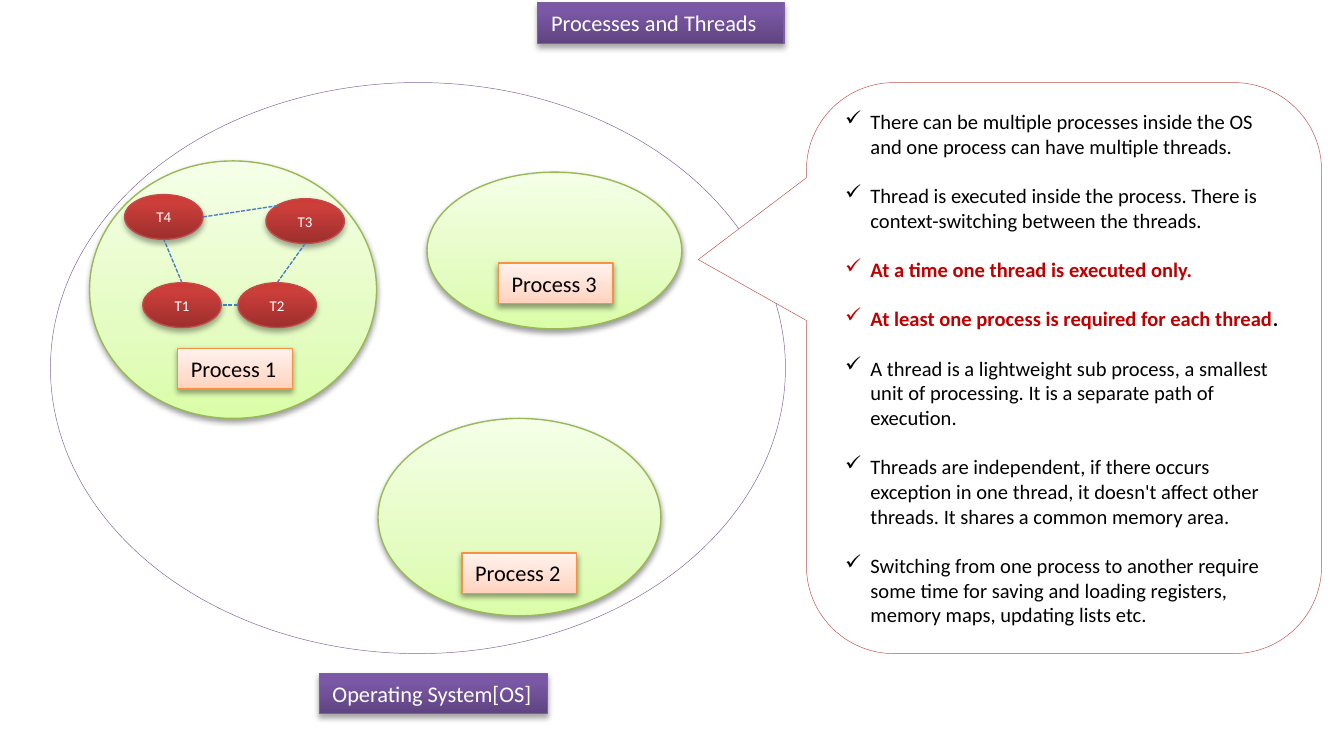
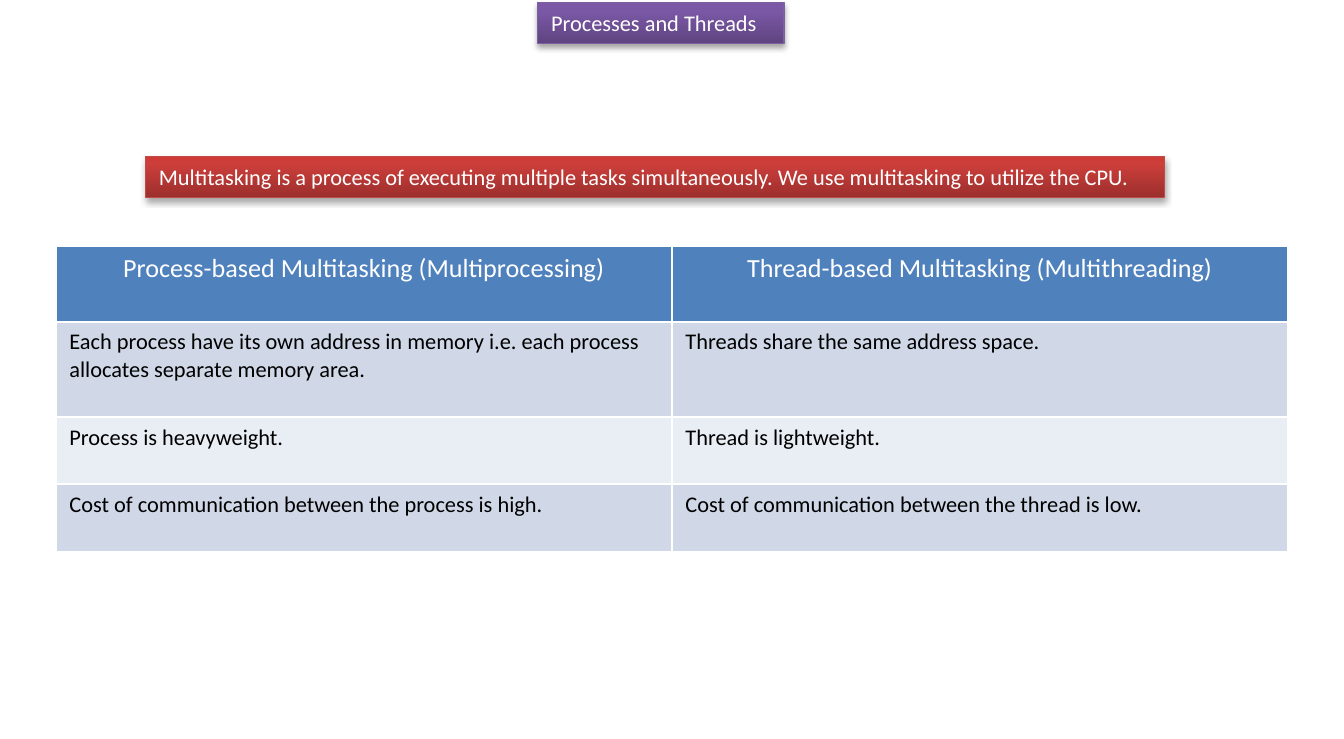
"""Build two slides that explain processes, threads and multitasking."""
from lxml.etree import SubElement
from pptx import Presentation
from pptx.dml.color import RGBColor
from pptx.enum.dml import MSO_LINE
from pptx.enum.shapes import MSO_CONNECTOR, MSO_SHAPE
from pptx.enum.text import MSO_ANCHOR, MSO_AUTO_SIZE, PP_ALIGN
from pptx.oxml.ns import qn
from pptx.util import Pt

PX = 9525
TITLE = "Processes and Threads"
TITLE_AREA = (384, 2, 176, 29)
color = RGBColor.from_string

DARK_SHADOW = {"alpha": 35, "distance": 1.8}
LIGHT_SHADOW = {"alpha": 38, "distance": 1.6}
STYLES = {
    "purple": {"stops": {0: "5F4480", 80: "7B58A6", 100: "7C57A8"},
               "line": "7D60A0", "width": 0.75, "shadow": DARK_SHADOW},
    "red": {"stops": {0: "9C2F2D", 80: "CB3E3A", 100: "CE3B37"},
            "line": "BF4C48", "width": 0.75, "shadow": DARK_SHADOW},
    "green": {"stops": {0: "DAFDA7", 35: "E4FCC2", 100: "F5FFE7"},
              "line": "98B955", "width": 0.75, "shadow": LIGHT_SHADOW},
    "orange": {"stops": {0: "FFD2BD", 35: "FFDED0", 100: "FFF2ED"},
               "line": "F69240", "width": 0.75, "shadow": LIGHT_SHADOW},
    "system": {"line": "8064A2", "width": 0.25},
    "callout": {"line": "C0504D", "width": 0.25},
}


def paint(shape, style_name):
    """Apply the fill, outline and shadow of a named style."""
    style = STYLES[style_name]
    shape.line.color.rgb = color(style["line"])
    shape.line.width = Pt(style["width"])
    shape.shadow.inherit = False
    if "stops" not in style:
        shape.fill.solid()
        shape.fill.fore_color.rgb = color("FFFFFF")
        return
    shape.fill.gradient()
    shape.fill.gradient_angle = 90
    properties = shape.element.spPr
    stop_list = properties.find(".//" + qn("a:gsLst"))
    stop_list.clear()
    for position, tone in style["stops"].items():
        stop = SubElement(stop_list, qn("a:gs"), pos=str(position * 1000))
        SubElement(stop, qn("a:srgbClr"), val=tone)
    shadow = SubElement(properties.find(qn("a:effectLst")), qn("a:outerShdw"),
                        blurRad=str(Pt(3.1)), dist=str(Pt(style["shadow"]["distance"])),
                        dir="5400000", rotWithShape="0")
    tone = SubElement(shadow, qn("a:srgbClr"), val="000000")
    SubElement(tone, qn("a:alpha"), val=str(style["shadow"]["alpha"] * 1000))


def write(paragraph, text, size=12, tone="FFFFFF", bold=False, align=PP_ALIGN.LEFT):
    """Add one formatted span to a paragraph."""
    paragraph.alignment = align
    span = paragraph.add_run()
    span.text = text
    span.font.color.rgb = color(tone)
    for name, value in {"name": "Calibri", "size": Pt(size), "bold": bold}.items():
        setattr(span.font, name, value)


deck = Presentation()
deck.slide_width, deck.slide_height = 960 * PX, 528 * PX

pages = []
for number in range(2):
    page = deck.slides.add_slide(deck.slide_layouts[5])
    title = page.shapes.title
    for name, length in zip(("left", "top", "width", "height"), TITLE_AREA):
        setattr(title, name, length * PX)
    paint(title, "purple")
    frame_format = {"vertical_anchor": MSO_ANCHOR.TOP, "word_wrap": True,
                    "auto_size": MSO_AUTO_SIZE.NONE}
    for name, value in frame_format.items():
        setattr(title.text_frame, name, value)
    write(title.text_frame.paragraphs[0], TITLE)
    pages.append(page)
diagram_page, table_page = pages

ovals = [
    ("system", "", (36, 59, 525, 408)),
    ("green", "", (64, 115, 205, 184)),
    ("green", "", (305, 123, 182, 112)),
    ("green", "", (270, 299, 202, 141)),
    ("red", "T1", (102, 202, 56, 32)),
    ("red", "T2", (170, 202, 56, 32)),
    ("red", "T3", (190, 142, 56, 32)),
    ("red", "T4", (89, 139, 56, 32)),
]
for style_name, text, area in ovals:
    oval = diagram_page.shapes.add_shape(MSO_SHAPE.OVAL, *[n * PX for n in area])
    paint(oval, style_name)
    if text:
        oval.text_frame.vertical_anchor = MSO_ANCHOR.MIDDLE
        write(oval.text_frame.paragraphs[0], text, size=8, align=PP_ALIGN.CENTER)

switches = [(145, 155, 198, 147), (218, 174, 198, 202),
            (170, 218, 157, 218), (130, 202, 117, 171)]
for ends in switches:
    switch = diagram_page.shapes.add_connector(
        MSO_CONNECTOR.STRAIGHT, *[n * PX for n in ends])
    switch.line.color.rgb = color("4B7EBC")
    switch.line.width = Pt(0.75)
    switch.line.dash_style = MSO_LINE.SQUARE_DOT
    SubElement(switch.element.spPr, qn("a:effectLst"))

labels = [
    (diagram_page, "orange", "Process 1", "000000", False, (127, 249, 82, 29)),
    (diagram_page, "orange", "Process 2", "000000", False, (330, 395, 82, 29)),
    (diagram_page, "orange", "Process 3", "000000", False, (356, 188, 82, 29)),
    (diagram_page, "purple", "Operating System[OS]", "FFFFFF", False, (228, 481, 163, 29)),
    (table_page, "red", "Multitasking is a process of executing multiple tasks simultaneously. "
     "We use multitasking to utilize the CPU.", "FFFFFF", True, (104, 112, 728, 29)),
]
for page, style_name, text, tone, wrap, area in labels:
    label = page.shapes.add_shape(MSO_SHAPE.RECTANGLE, *[n * PX for n in area])
    paint(label, style_name)
    label.text_frame.word_wrap = wrap
    label.text_frame.vertical_anchor = MSO_ANCHOR.TOP
    write(label.text_frame.paragraphs[0], text, tone=tone)

callout = diagram_page.shapes.add_shape(
    MSO_SHAPE.ROUNDED_RECTANGULAR_CALLOUT, 576 * PX, 59 * PX, 368 * PX, 408 * PX)
paint(callout, "callout")
for index, value in enumerate((-0.71, -0.19, 0.17)):
    callout.adjustments[index] = value
callout.text_frame.word_wrap = True
callout.text_frame.vertical_anchor = MSO_ANCHOR.MIDDLE
BLACK, RED = "000000", "C00000"
facts = [
    [("There can be multiple processes inside the OS and one process can have "
      "multiple threads.", BLACK, False)],
    [("Thread is executed inside the process. There is context-switching between "
      "the threads.", BLACK, False)],
    [("At a time one thread is executed only.", RED, True)],
    [("At least one process is required for each thread", RED, True), (".", BLACK, True)],
    [("A thread is a lightweight sub process, a smallest unit of processing. It is a "
      "separate path of execution.", BLACK, False)],
    [("Threads are independent, if there occurs exception in one thread, it doesn't "
      "affect other threads. It shares a common memory area.", BLACK, False)],
    [("Switching from one process to another require some time for saving and loading "
      "registers, memory maps, updating lists etc.", BLACK, False)],
]
for index, fact in enumerate(facts):
    frame = callout.text_frame
    para = frame.add_paragraph() if index else frame.paragraphs[0]
    if index:
        para.space_before = Pt(13.2)
    properties = para._p.get_or_add_pPr()
    properties.set("marL", str(18 * PX))
    properties.set("indent", str(-18 * PX))
    SubElement(properties, qn("a:buChar"), char="✓")
    for text, tone, bold in fact:
        write(para, text, size=11, tone=tone, bold=bold)

rows = [
    ("Process-based Multitasking (Multiprocessing)", "Thread-based Multitasking (Multithreading)"),
    ("Each process have its own address in memory i.e. each process allocates "
     "separate memory area.", "Threads share the same address space."),
    ("Process is heavyweight.", "Thread is lightweight."),
    ("Cost of communication between the process is high.",
     "Cost of communication between the thread is low."),
]
row_heights = (54, 68, 48, 48)
row_fills = ("4F81BD", "D0D8E8", "E9EDF4", "D0D8E8")
table = table_page.shapes.add_table(
    len(rows), 2, 40 * PX, 176 * PX, 880 * PX, sum(row_heights) * PX).table
for row_index, texts in enumerate(rows):
    table.rows[row_index].height = row_heights[row_index] * PX
    for column_index, text in enumerate(texts):
        cell = table.cell(row_index, column_index)
        cell.fill.solid()
        cell.fill.fore_color.rgb = color(row_fills[row_index])
        para = cell.text_frame.paragraphs[0]
        if row_index:
            write(para, text, tone=BLACK)
        else:
            write(para, text, size=14, align=PP_ALIGN.CENTER)

deck.save("out.pptx")
